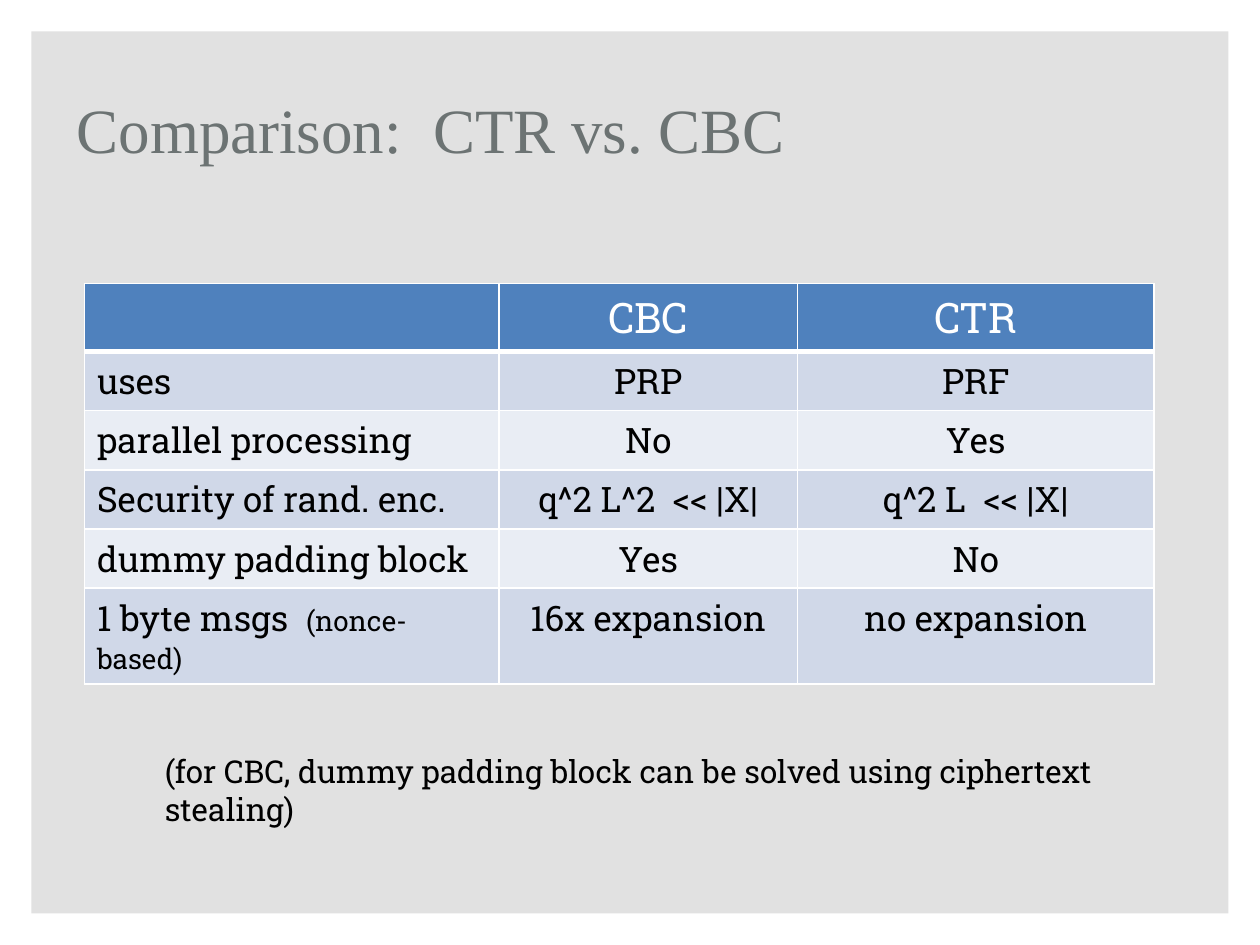
import pptx
import pptx.util
import pptx.dml.color
import pptx.enum.shapes
import pptx.enum.text
import lxml.etree

TITLE = "Comparison:  CTR vs. CBC"
NOTE = "(for CBC, dummy padding block can be solved using ciphertext stealing)"
ROWS = [
    ("", "CBC", "CTR"),
    ("uses", "PRP", "PRF"),
    ("parallel processing", "No", "Yes"),
    ("Security of rand. enc.", "q^2 L^2  << |X|", "q^2 L  << |X|"),
    ("dummy padding block", "Yes", "No"),
    ("1 byte msgs  ", "16x expansion", "no expansion"),
]
REMARK = "(nonce-based)"
COLUMN_WIDTHS = [3.29, 2.37, 2.83]
ROW_HEIGHTS = [0.54, 0.47, 0.47, 0.47, 0.47, 0.76]
HEADER_FILL, BANDS = "4F81BD", ("E9EDF4", "D0D8E8")
BODY_FONT = "Roboto Slab"
WIDTH, HEIGHT, MARGIN = 10, 7.5, 0.25

inch = pptx.util.Inches


def rgb(value):
    return pptx.dml.color.RGBColor.from_string(value)


def style(run, size, color, font=BODY_FONT):
    run.font.size = pptx.util.Pt(size)
    run.font.name = font
    run.font.color.rgb = rgb(color)


def add_text(slide, box, text, size, color, font, anchor):
    frame = slide.shapes.add_textbox(*map(inch, box)).text_frame
    frame.word_wrap = True
    frame.vertical_anchor = anchor
    frame.text = text
    style(frame.paragraphs[0].runs[0], size, color, font)


def add_borders(cell, bottom):
    properties = cell._tc.get_or_add_tcPr()
    for index, side in enumerate(("lnL", "lnR", "lnT", "lnB")):
        points = bottom if side == "lnB" else 1
        border = lxml.etree.Element(pptx.oxml.ns.qn("a:" + side), w=str(pptx.util.Pt(points)))
        fill = lxml.etree.SubElement(border, pptx.oxml.ns.qn("a:solidFill"))
        lxml.etree.SubElement(fill, pptx.oxml.ns.qn("a:srgbClr"), val="FFFFFF")
        properties.insert(index, border)


def add_comparison(slide):
    table = slide.shapes.add_table(
        len(ROWS), len(COLUMN_WIDTHS), inch(0.67), inch(2.25),
        inch(sum(COLUMN_WIDTHS)), inch(sum(ROW_HEIGHTS))).table
    for column, width in zip(table.columns, COLUMN_WIDTHS):
        column.width = inch(width)
    for row, height in zip(table.rows, ROW_HEIGHTS):
        row.height = inch(height)
    for r, texts in enumerate(ROWS):
        header = r == 0
        for c, text in enumerate(texts):
            cell = table.cell(r, c)
            cell.fill.solid()
            cell.fill.fore_color.rgb = rgb(HEADER_FILL if header else BANDS[r % 2])
            add_borders(cell, 3 if header else 1)
            paragraph = cell.text_frame.paragraphs[0]
            paragraph.text = text
            if c:
                paragraph.alignment = pptx.enum.text.PP_ALIGN.CENTER
            for run in paragraph.runs:
                style(run, 24 if header else 20, "FFFFFF" if header else "000000")
                run.font.bold = False
    remark = table.cell(len(ROWS) - 1, 0).text_frame.paragraphs[0].add_run()
    remark.text = REMARK
    style(remark, 16, "000000")


def main():
    deck = pptx.Presentation()
    deck.slide_width, deck.slide_height = inch(WIDTH), inch(HEIGHT)
    slide = deck.slides.add_slide(deck.slide_layouts[6])
    panel = slide.shapes.add_shape(
        pptx.enum.shapes.MSO_SHAPE.RECTANGLE, inch(MARGIN), inch(MARGIN),
        inch(WIDTH - 2 * MARGIN), inch(HEIGHT - 2 * MARGIN))
    panel.shadow.inherit = False
    panel.fill.solid()
    panel.fill.fore_color.rgb = rgb("E1E1E1")
    panel.line.fill.background()
    anchors = pptx.enum.text.MSO_ANCHOR
    add_text(slide, (0.51, 0.48, 7.91, 1.07), TITLE, 36, "6C7373",
             "Times New Roman", anchors.MIDDLE)
    add_comparison(slide)
    add_text(slide, (1.21, 5.92, 8.27, 0.4), NOTE, 18, "000000", BODY_FONT, anchors.TOP)
    deck.save("out.pptx")


if __name__ == "__main__":
    main()
